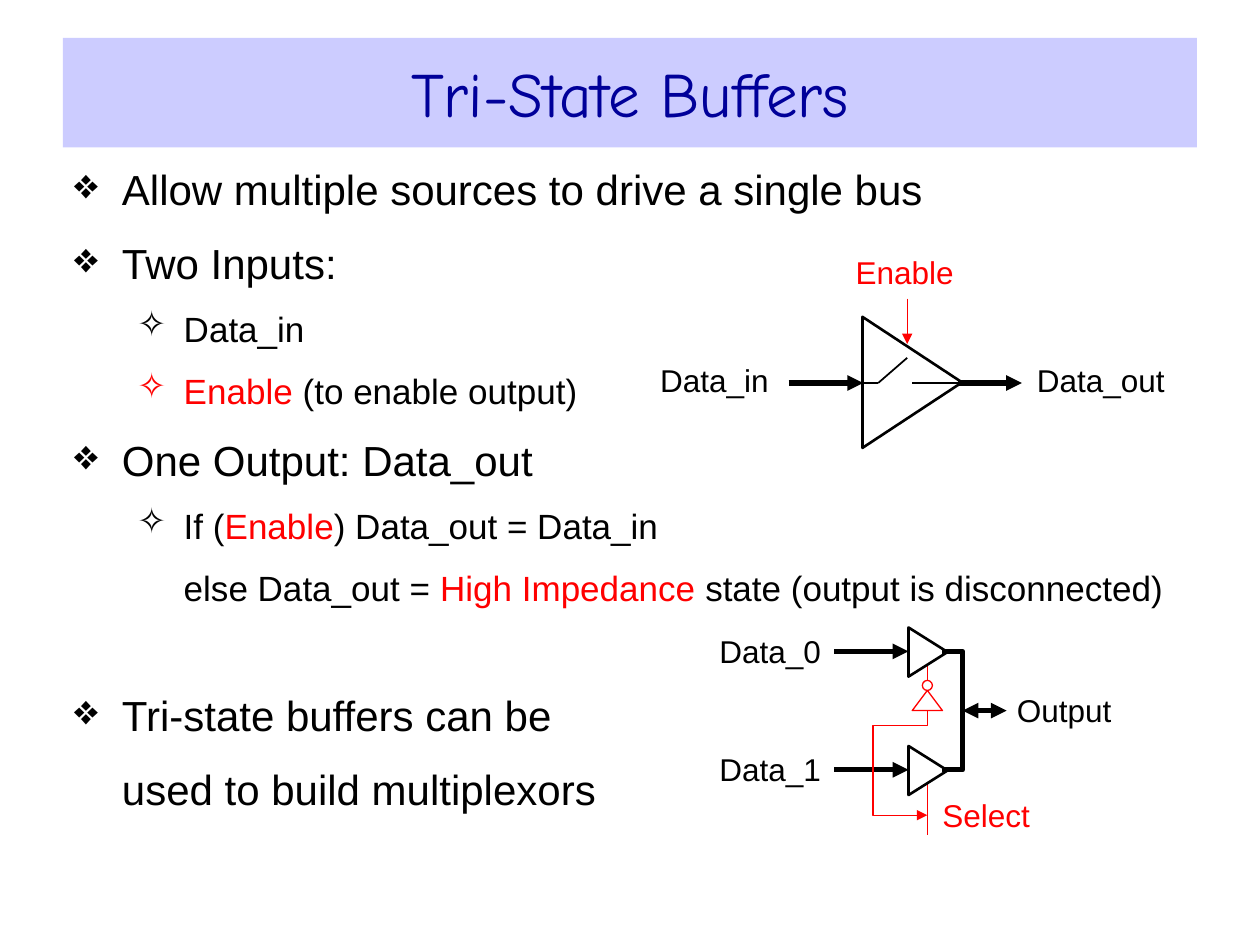
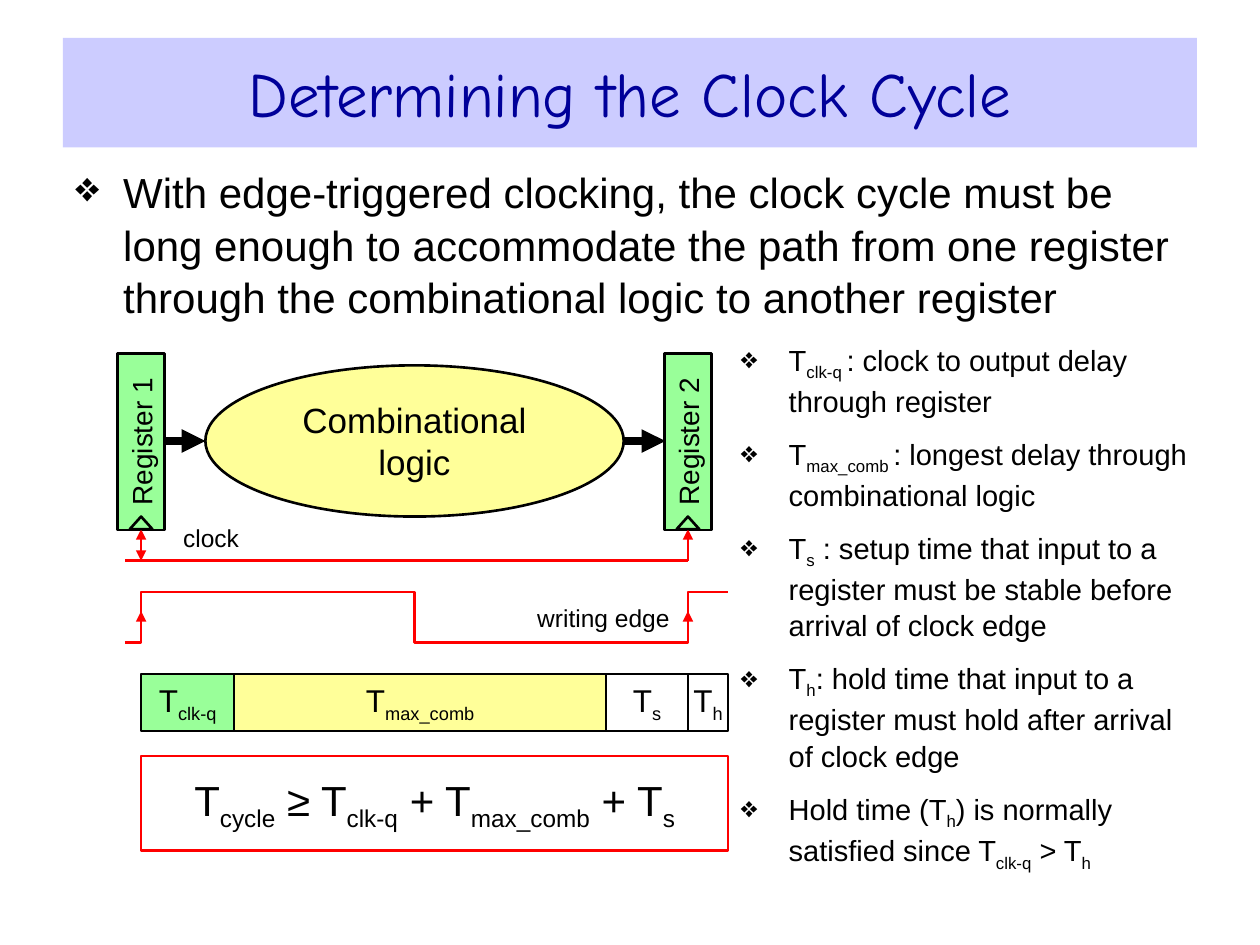
from dataclasses import dataclass
from typing import Optional

from lxml.etree import SubElement
from pptx import Presentation
from pptx.dml.color import RGBColor
from pptx.enum.shapes import MSO_CONNECTOR as CONN, MSO_SHAPE as SHAPE
from pptx.enum.text import MSO_ANCHOR as ANCHOR, PP_ALIGN as ALIGN
from pptx.oxml.ns import qn
from pptx.util import Inches, Pt

BLACK = RGBColor(0x00, 0x00, 0x00)
WHITE = RGBColor(0xFF, 0xFF, 0xFF)
RED = RGBColor(0xFF, 0x00, 0x00)
NAVY = RGBColor(0x00, 0x00, 0x99)
LAVENDER = RGBColor(0xCC, 0xCC, 0xFF)
GREEN = RGBColor(0x99, 0xFF, 0x99)
YELLOW = RGBColor(0xFF, 0xFF, 0x99)
BODY_FONT, TITLE_FONT = "Arial", "Comic Neue"
DIAMONDS, STAR = "❖", "✧"
LINE_SPACING = 1.05


@dataclass
class Run:
    text: str
    color: RGBColor = BLACK
    sub: bool = False


@dataclass
class Para:
    runs: list[Run]
    size: float = 24
    before: float = 12
    bullet: str = DIAMONDS
    margin: float = 0.38
    hang: float = 0.38
    bullet_color: RGBColor = BLACK


@dataclass
class Box:
    x: float
    y: float
    w: float
    h: float


@dataclass
class Arrow:
    start: tuple[float, float]
    end: tuple[float, float]
    width: float = 3
    color: RGBColor = BLACK
    head: bool = False
    tail: bool = True


@dataclass
class Label:
    text: str
    box: Box
    size: float = 18
    color: RGBColor = BLACK
    align: ALIGN = ALIGN.LEFT


def add_runs(p, runs: list[Run], size: float, font: str = BODY_FONT) -> None:
    for run in runs:
        r = p.add_run()
        r.text = run.text
        r.font.size, r.font.name = Pt(size), font
        r.font.color.rgb = run.color
        if run.sub:
            r.font._element.set("baseline", "-25000")


def set_frame(tf, inset_x: float = 0, inset_y: float = 0, anchor: ANCHOR = ANCHOR.MIDDLE) -> None:
    tf.word_wrap = True
    tf.margin_left = tf.margin_right = Inches(inset_x)
    tf.margin_top = tf.margin_bottom = Inches(inset_y)
    tf.vertical_anchor = anchor


def place(box: Box) -> tuple:
    return Inches(box.x), Inches(box.y), Inches(box.w), Inches(box.h)


def add_shape(s, kind: SHAPE, box: Box, fill: Optional[RGBColor] = WHITE,
              line: Optional[RGBColor] = BLACK, width: float = 1.5, rotation: float = 0):
    sp = s.shapes.add_shape(kind, *place(box))
    sp.shadow.inherit = False
    sp.rotation = rotation
    if fill is None:
        sp.fill.background()
    else:
        sp.fill.solid()
        sp.fill.fore_color.rgb = fill
    if line is None:
        sp.line.fill.background()
    else:
        sp.line.color.rgb, sp.line.width = line, Pt(width)
    return sp


def write_centred(sp, runs: list[Run], size: float, font: str = BODY_FONT) -> None:
    set_frame(sp.text_frame)
    p = sp.text_frame.paragraphs[0]
    p.alignment = ALIGN.CENTER
    add_runs(p, runs, size, font)


def add_label(s, label: Label) -> None:
    tf = s.shapes.add_textbox(*place(label.box)).text_frame
    set_frame(tf)
    p = tf.paragraphs[0]
    p.alignment = label.align
    add_runs(p, [Run(label.text, label.color)], label.size)


def add_heads(sp, head: bool, tail: bool) -> None:
    ln = sp.line._get_or_add_ln()
    for wanted, tag in ((head, "a:headEnd"), (tail, "a:tailEnd")):
        if wanted:
            SubElement(ln, qn(tag)).set("type", "triangle")


def add_arrow(s, arrow: Arrow) -> None:
    ends = [Inches(v) for v in (*arrow.start, *arrow.end)]
    sp = s.shapes.add_connector(CONN.STRAIGHT, *ends)
    sp.line.color.rgb, sp.line.width = arrow.color, Pt(arrow.width)
    add_heads(sp, arrow.head, arrow.tail)
    SubElement(sp._element.spPr, qn("a:effectLst"))


def add_path(s, points: list[tuple[float, float]], color: RGBColor, width: float,
             tail: bool = False) -> None:
    first, *rest = [(Inches(x), Inches(y)) for x, y in points]
    builder = s.shapes.build_freeform(*first)
    builder.add_line_segments(rest, close=False)
    sp = builder.convert_to_shape()
    sp.shadow.inherit = False
    sp.fill.background()
    sp.line.color.rgb, sp.line.width = color, Pt(width)
    add_heads(sp, False, tail)


def add_list(s, box: Box, paras: list[Para], inset_x: float = 0.1) -> None:
    tf = s.shapes.add_textbox(*place(box)).text_frame
    set_frame(tf, inset_x, 0.05, ANCHOR.TOP)
    for i, para in enumerate(paras):
        p = tf.add_paragraph() if i else tf.paragraphs[0]
        pPr = p._p.get_or_add_pPr()
        pPr.set("marL", str(Inches(para.margin)))
        if para.bullet:
            pPr.set("indent", str(-Inches(para.hang)))
            clr = SubElement(pPr, qn("a:buClr"))
            SubElement(clr, qn("a:srgbClr")).set("val", str(para.bullet_color))
            SubElement(pPr, qn("a:buChar")).set("char", para.bullet)
        p.line_spacing = LINE_SPACING
        if i:
            p.space_before = Pt(para.before)
        add_runs(p, para.runs, para.size)


def add_titled_slide(prs, title: str):
    s = prs.slides.add_slide(prs.slide_layouts[6])
    band = add_shape(s, SHAPE.RECTANGLE, Box(0.5, 0.3, 9, 0.87), LAVENDER, None)
    write_centred(band, [Run(title, NAVY)], 36, TITLE_FONT)
    return s


def sub_item(*runs: Run, bullet: str = STAR, bullet_color: RGBColor = BLACK) -> Para:
    return Para(list(runs), 20, 10, bullet, 0.87, 0.37, bullet_color)


def delay(name: str, after: str = "", before: str = "") -> list[Run]:
    runs = [Run(before + "T"), Run(name, sub=True)]
    return runs + [Run(after)] if after else runs


def draw_buffer(s) -> None:
    mid = 3.04
    add_shape(s, SHAPE.ISOSCELES_TRIANGLE, Box(6.72, 2.64, 1.04, 0.79), rotation=90)
    for arrow in (
        Arrow((6.26, mid), (6.85, mid)),
        Arrow((7.6, mid), (8.11, mid)),
        Arrow((6.85, mid), (6.97, mid), 1, tail=False),
        Arrow((6.97, mid), (7.2, 2.84), 1, tail=False),
        Arrow((7.24, mid), (7.64, mid), 1, tail=False),
        Arrow((7.2, 2.37), (7.2, 2.73), 0.75, RED),
    ):
        add_arrow(s, arrow)
    add_label(s, Label("Data_in", Box(5.24, 2.8, 1.06, 0.43)))
    add_label(s, Label("Data_out", Box(8.23, 2.8, 1.06, 0.43)))
    add_label(s, Label("Enable", Box(6.65, 1.98, 1.06, 0.35), color=RED, align=ALIGN.CENTER))


def draw_multiplexor(s) -> None:
    select_x, bus_x, rows = 7.36, 7.64, (5.17, 6.11)
    mid = sum(rows) / 2
    add_arrow(s, Arrow((select_x, 6.19), (select_x, 6.63), 0.75, RED, tail=False))
    add_arrow(s, Arrow((select_x, 5.25), (select_x, 5.4), 0.75, RED, tail=False))
    for i, y in enumerate(rows):
        add_shape(s, SHAPE.ISOSCELES_TRIANGLE, Box(7.17, y - 0.15, 0.39, 0.31), rotation=90)
        add_arrow(s, Arrow((6.62, y), (7.21, y)))
        add_label(s, Label(f"Data_{i}", Box(5.71, y - 0.2, 0.91, 0.39)))
    add_shape(s, SHAPE.ISOSCELES_TRIANGLE, Box(7.24, 5.48, 0.24, 0.16), line=RED, width=0.75)
    add_shape(s, SHAPE.OVAL, Box(7.32, 5.4, 0.08, 0.08), line=RED, width=0.75)
    add_path(s, [(select_x, mid), (select_x, 5.76), (6.93, 5.76), (6.93, 6.47),
                 (select_x, 6.47)], RED, 0.75, tail=True)
    add_path(s, [(7.48, rows[0]), (bus_x, rows[0]), (bus_x, rows[1]), (7.48, rows[1])], BLACK, 3)
    add_arrow(s, Arrow((bus_x, mid), (7.99, mid), head=True))
    add_label(s, Label("Output", Box(8.07, 5.44, 0.91, 0.39)))
    add_label(s, Label("Select", Box(7.48, 6.27, 0.91, 0.39), color=RED))


def build_buffers(prs) -> None:
    s = add_titled_slide(prs, "Tri-State Buffers")
    add_list(s, Box(0.49, 1.23, 9, 5.63), [
        Para([Run("Allow multiple sources to drive a single bus")]),
        Para([Run("Two Inputs:")]),
        sub_item(Run("Data_in")),
        sub_item(Run("Enable ", RED), Run("(to enable output)"), bullet_color=RED),
        Para([Run("One Output: Data_out")]),
        sub_item(Run("If ("), Run("Enable", RED), Run(") Data_out = Data_in")),
        sub_item(Run("else Data_out = "), Run("High Impedance ", RED),
                 Run("state (output is disconnected)"), bullet=""),
        Para([Run("Tri-state buffers can be")], before=45),
        Para([Run("used to build multiplexors")], bullet=""),
    ])
    draw_buffer(s)
    draw_multiplexor(s)


def draw_datapath(s, edges: tuple[float, float]) -> None:
    clock_y, mid = 4.45, 3.5
    logic = add_shape(s, SHAPE.OVAL, Box(1.63, 2.9, 3.32, 1.2), YELLOW)
    write_centred(logic, [Run("Combinational logic")], 20)
    for i, x in enumerate(edges):
        register = add_shape(s, SHAPE.RECTANGLE, Box(x - 0.7, 3.32, 1.4, 0.37), GREEN, rotation=270)
        write_centred(register, [Run(f"Register {i + 1}")], 16)
        add_arrow(s, Arrow((x, clock_y), (x, 4.2), 1.5, RED, head=i == 0))
        add_shape(s, SHAPE.ISOSCELES_TRIANGLE, Box(x - 0.09, 4.1, 0.18, 0.1), GREEN)
    add_arrow(s, Arrow((1.31, mid), (1.63, mid), 4.5))
    add_arrow(s, Arrow((4.95, mid), (5.28, mid), 4.5))
    add_arrow(s, Arrow((edges[1], clock_y), (0.99, clock_y), 1.5, RED, tail=False))
    add_label(s, Label("clock", Box(1.35, 4.1, 0.65, 0.33), 14, align=ALIGN.CENTER))


def draw_timing(s, edges: tuple[float, float], right: float) -> None:
    high, low = 4.7, 5.1
    rise, next_rise = edges
    fall = sum(edges) / 2
    add_path(s, [(0.99, low), (rise, low), (rise, high), (fall, high), (fall, low),
                 (next_rise, low), (next_rise, high), (right, high)], RED, 1.5)
    for x in edges:
        add_arrow(s, Arrow((x, 4.95), (x, 4.85), 1, RED))
    add_label(s, Label("writing edge", Box(4.21, 4.75, 1.16, 0.3), 14, align=ALIGN.CENTER))
    x = rise
    for name, width, fill in (("clk-q", 0.74, GREEN), ("max_comb", 2.95, YELLOW),
                              ("s", 0.65, None), ("h", 0.32, None)):
        cell = add_shape(s, SHAPE.RECTANGLE, Box(x, 5.35, width, 0.45), fill, width=1)
        write_centred(cell, delay(name), 18)
        x += width
    formula = add_shape(s, SHAPE.RECTANGLE, Box(rise, 6, right - rise, 0.75), line=RED)
    write_centred(formula, delay("cycle", " ≥ T") + [Run("clk-q", sub=True)]
                  + delay("max_comb", before=" + ") + delay("s", before=" + "), 24)


def build_clock_cycle(prs) -> None:
    s = add_titled_slide(prs, "Determining the Clock Cycle")
    add_list(s, Box(0.5, 1.25, 9, 5.63), [Para([Run(
        "With edge-triggered clocking, the clock cycle must be long enough to accommodate "
        "the path from one register through the combinational logic to another register")])])
    edges = (1.12, 5.46)
    draw_datapath(s, edges)
    draw_timing(s, edges, 5.78)
    terms = [
        delay("clk-q ", ": clock to output delay through register"),
        delay("max_comb ", ": longest delay through combinational logic"),
        delay("s", " : setup time that input to a register must be stable before "
                   "arrival of clock edge"),
        delay("h", ": hold time that input to a register must hold after arrival of clock edge"),
        delay("h", ") is normally satisfied since ", "Hold time (")
        + delay("clk-q", " > ") + delay("h"),
    ]
    add_list(s, Box(5.88, 2.65, 3.61, 4.15), [Para(t, 16.6, 9) for t in terms], 0)


def main() -> None:
    prs = Presentation()
    prs.slide_width, prs.slide_height = Inches(10), Inches(7.5)
    build_buffers(prs)
    build_clock_cycle(prs)
    prs.save("out.pptx")


if __name__ == "__main__":
    main()
